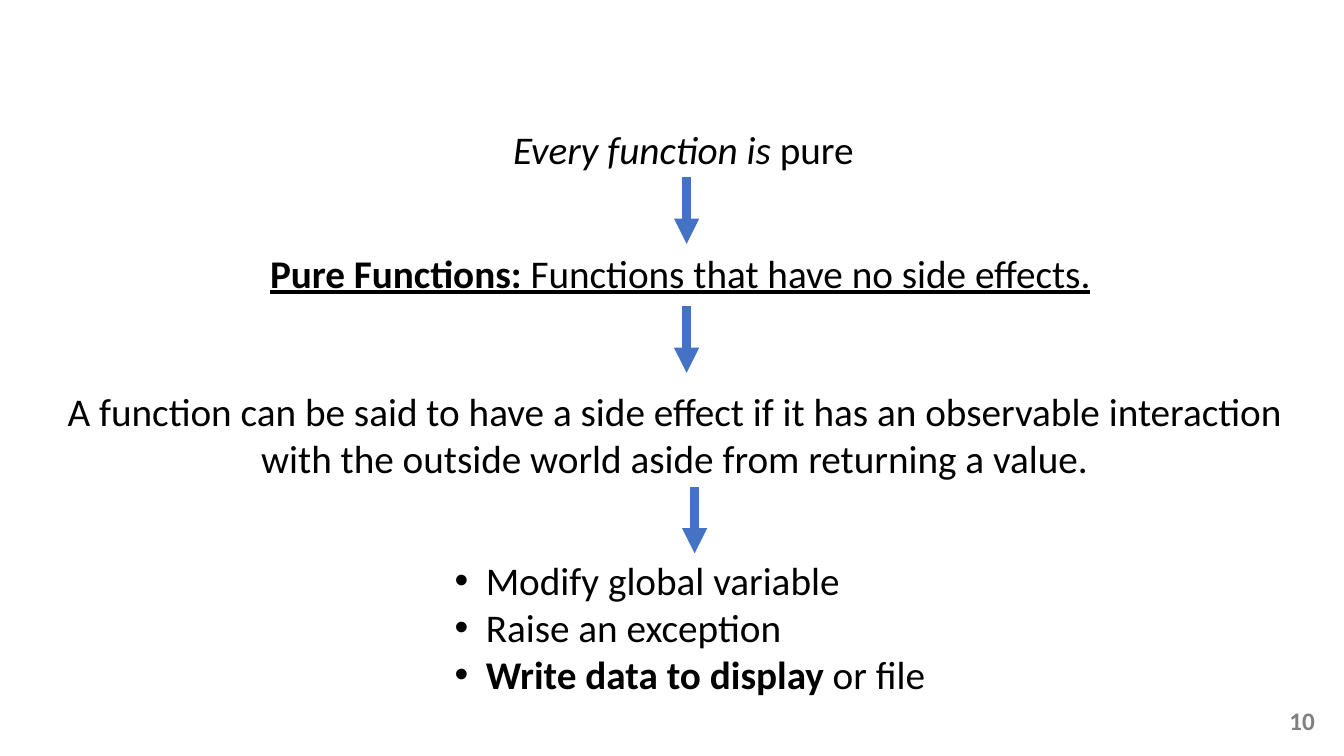
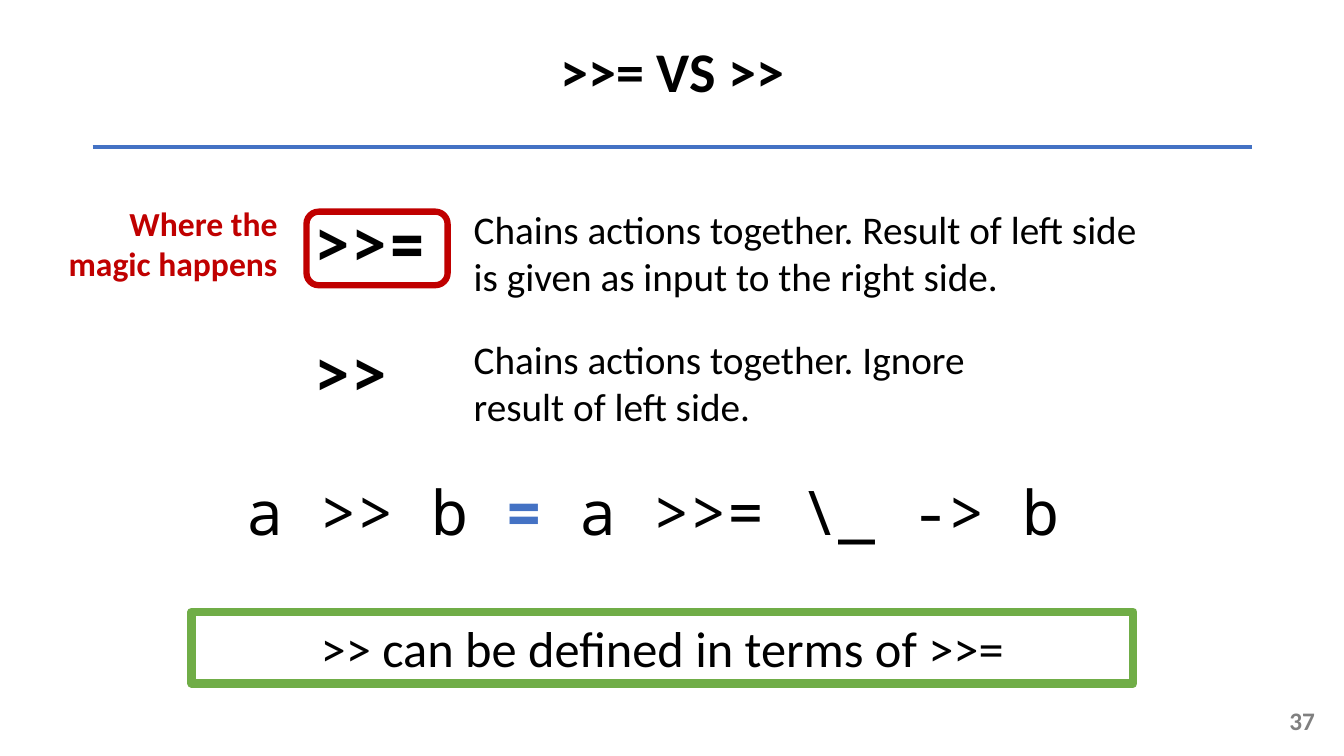
from pptx import Presentation
from pptx.dml.color import RGBColor
from pptx.enum.shapes import MSO_CONNECTOR, MSO_SHAPE
from pptx.enum.text import MSO_ANCHOR as ANCHOR, PP_ALIGN as ALIGN
from pptx.oxml.ns import qn
from pptx.util import Pt
from lxml.etree import SubElement

PX = 9144
BLACK, GRAY, BLUE, RED, GREEN = "000000", "808080", "4472C4", "C00000", "70AD47"
SANS, MONO = "Calibri", "Noto Sans Mono"
color = RGBColor.from_string


def add_text(slide, place, paragraphs, size=28, align=ALIGN.LEFT, font=SANS, ink=BLACK,
             bold=False, wrap=True, anchor=ANCHOR.TOP, spacing=None, outline=None):
    left, top, width, height = [length * PX for length in place]
    if outline:
        kind, line_color, line_width = outline
        box = slide.shapes.add_shape(kind, left, top, width, height)
        box.shadow.inherit = False
        box.fill.background()
        box.line.color.rgb = color(line_color)
        box.line.width = Pt(line_width)
    else:
        box = slide.shapes.add_textbox(left, top, width, height)
    frame = box.text_frame
    frame.word_wrap = wrap
    frame.vertical_anchor = anchor
    for index, spans in enumerate(paragraphs):
        para = frame.add_paragraph() if index else frame.paragraphs[0]
        para.alignment = align
        para.line_spacing = spacing
        for words, style in spans:
            span = para.add_run()
            span.text = words
            span.font.size = Pt(size)
            span.font.name = font
            span.font.color.rgb = color(style.get("ink", ink))
            span.font.bold = style.get("bold", bold)
            span.font.italic = style.get("italic", False)
            span.font.underline = style.get("underline", False)
    return box


def add_line(slide, start, end, width, arrow=False):
    points = [length * PX for length in (*start, *end)]
    line = slide.shapes.add_connector(MSO_CONNECTOR.STRAIGHT, *points)
    line.line.color.rgb = color(BLUE)
    line.line.width = Pt(width)
    if arrow:
        SubElement(line.line._get_or_add_ln(), qn("a:tailEnd"), type="triangle")
    SubElement(line._element.spPr, qn("a:effectLst"))


deck = Presentation()
deck.slide_width, deck.slide_height = 1333 * PX, 750 * PX
blank = deck.slide_layouts[6]
purity, operators = [deck.slides.add_slide(blank) for _ in range(2)]

for slide, number in ((purity, "10"), (operators, "37")):
    add_text(slide, (1014, 695, 300, 40), [[(number, {})]], size=18, align=ALIGN.RIGHT,
             ink=GRAY, bold=True, anchor=ANCHOR.MIDDLE)

add_text(purity, (499, 119, 364, 57),
         [[("Every function is ", {"italic": True}), ("pure", {})]], wrap=False)
add_text(purity, (258, 242, 845, 57),
         [[("Pure Functions: ", {"bold": True, "underline": True}),
           ("Functions that have no side effects.", {"underline": True})]], wrap=False)
add_text(purity, (44, 379, 1250, 104),
         [[("A function can be said to have a side effect if it has an observable "
            "interaction with the outside world aside from returning a value.", {})]],
         align=ALIGN.CENTER)
effects = add_text(purity, (441, 547, 498, 151),
                   [[("Modify global variable", {})],
                    [("Raise an exception", {})],
                    [("Write data to display", {"bold": True}), (" or file", {})]])
for para in effects.text_frame.paragraphs:
    properties = para._p.get_or_add_pPr()
    properties.set("marL", str(31 * PX))
    properties.set("indent", str(-31 * PX))
    SubElement(properties, qn("a:buFont"), typeface="Arial")
    SubElement(properties, qn("a:buChar"), char="•")

for x, y in ((681, 176), (681, 304), (689, 483)):
    add_line(purity, (x, y), (x, y + 66), 6, arrow=True)

add_text(operators, (92, 1, 1150, 145), [[(">>= VS >>", {})]], size=40, align=ALIGN.CENTER,
         bold=True, anchor=ANCHOR.MIDDLE, spacing=0.9)
add_line(operators, (92, 146), (1242, 146), 3)

definitions = (
    (199, ">>= ", 698, "Chains actions together. Result of left side is given as input "
                       "to the right side."),
    (328, ">> ", 589, "Chains actions together. Ignore result of left side."),
)
for top, operator, width, meaning in definitions:
    add_text(operators, (276, top, 156, 84), [[(operator, {})]], size=44,
             align=ALIGN.RIGHT, font=MONO, bold=True)
    add_text(operators, (460, top, width, 104), [[(meaning, {})]])

add_text(operators, (44, 196, 241, 91), [[("Where the magic happens", {})]], size=24,
         align=ALIGN.RIGHT, ink=RED, bold=True)
add_text(operators, (304, 210, 140, 73), [], outline=(MSO_SHAPE.ROUNDED_RECTANGLE, RED, 4.5))
add_text(operators, (232, 465, 832, 84),
         [[("a >> b ", {}), ("=", {"ink": BLUE, "bold": True}), (" a >>= \\_ -> b", {})]],
         size=44, align=ALIGN.CENTER, font=MONO)
add_text(operators, (190, 607, 934, 71), [[(">> can be defined in terms of >>=", {})]],
         size=36, align=ALIGN.CENTER, outline=(MSO_SHAPE.RECTANGLE, GREEN, 6))

deck.save("out.pptx")
